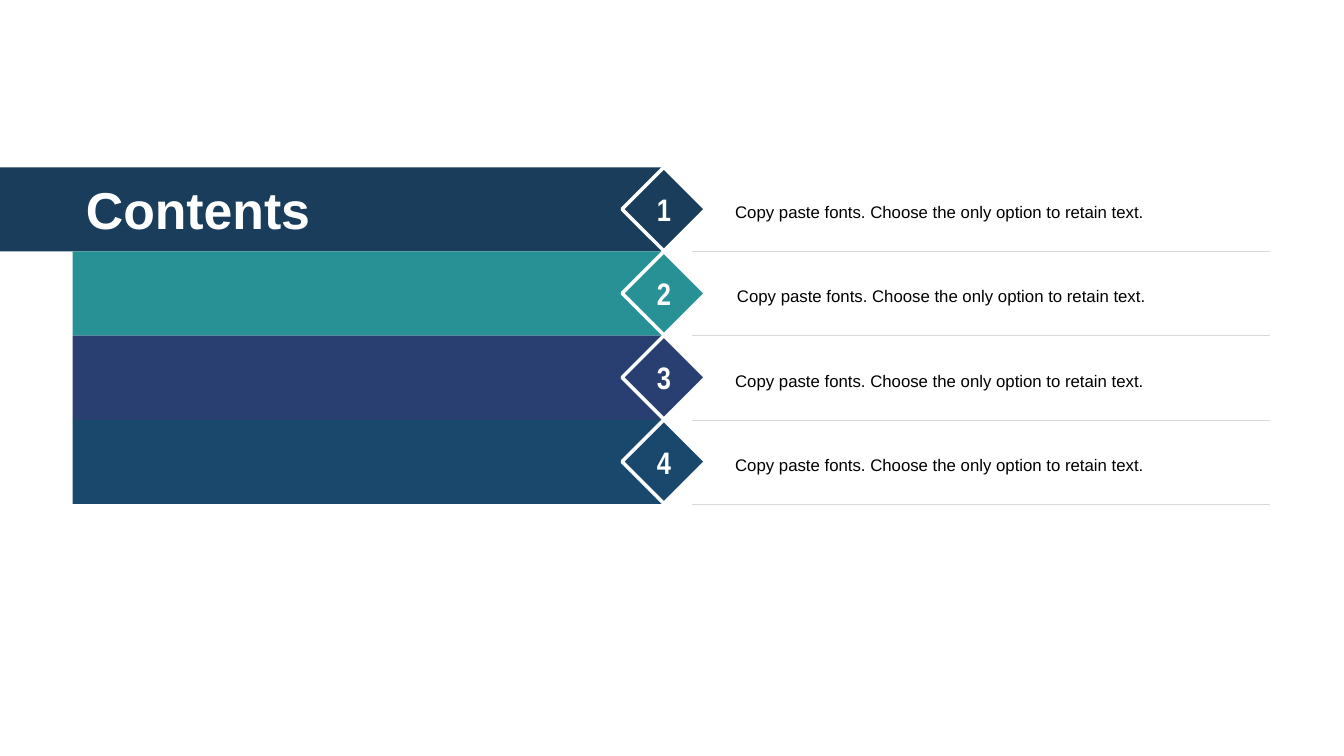
from pptx import Presentation
from pptx import util as u
from pptx.dml.color import RGBColor
from pptx.enum import shapes, text
from pptx.oxml.xmlchemy import OxmlElement

COLORS = {
    "navy": "193D5A", "teal": "289195", "indigo": "2A3F71", "blue": "1A476C",
    "white": "FFFFFF", "black": "000000", "rule": "D9D9D9",
}
LEFT, CENTER, RIGHT = text.PP_ALIGN.LEFT, text.PP_ALIGN.CENTER, text.PP_ALIGN.RIGHT


class ContentsSlide:
    """Holds the style and the current slide."""

    def __init__(self, deck):
        self.slide = deck.slides.add_slide(deck.slide_layouts[5])

    def color(self, name):
        return RGBColor.from_string(COLORS[name])

    def add_words(self, shape, words, size, color, font="Arial", bold=False,
                  align=CENTER, spacing=1.0, insets=(0.1, 0.1)):
        frame = shape.text_frame
        frame.word_wrap = True
        frame.auto_size = text.MSO_AUTO_SIZE.NONE
        frame.vertical_anchor = text.MSO_ANCHOR.MIDDLE
        frame.margin_left, frame.margin_right = map(u.Inches, insets)
        frame.margin_top = frame.margin_bottom = u.Inches(0)
        paragraph = frame.paragraphs[0]
        paragraph.alignment = align
        paragraph.line_spacing = spacing
        run = paragraph.add_run()
        run.text = words
        run.font.name, run.font.size, run.font.bold = font, u.Pt(size), bold
        run.font.color.rgb = self.color(color)

    def block(self, kind, box, fill, outline=None):
        shape = self.slide.shapes.add_shape(kind, *map(u.Inches, box))
        shape.shadow.inherit = False
        shape.fill.solid()
        shape.fill.fore_color.rgb = self.color(fill)
        if outline:
            shape.line.color.rgb = self.color(outline)
            shape.line.width = u.Pt(2.5)
        else:
            shape.line.fill.background()
        return shape

    def rule(self, left, right, y):
        line = self.slide.shapes.add_connector(
            shapes.MSO_CONNECTOR.STRAIGHT, *map(u.Inches, (left, y, right, y)))
        line.line.color.rgb = self.color("rule")
        line.line.width = u.Pt(0.25)
        line.element.spPr.append(OxmlElement("a:effectLst"))

    def title(self, words, box):
        heading = self.slide.shapes.title
        heading.left, heading.top, heading.width, heading.height = map(u.Inches, box)
        self.add_words(heading, words, 37, "white", bold=True)
        # Bring the heading in front of its band
        heading.element.getparent().append(heading.element)


def main():
    deck = Presentation()
    deck.slide_width, deck.slide_height = u.Inches(13.33), u.Inches(7.5)
    contents = ContentsSlide(deck)

    top, pitch, band_right = 1.66, 0.835, 6.59
    pitch = round((5 - top) / 4, 3)
    entry = "Copy paste fonts. Choose the only option to retain text."
    # Band colour, band left edge, entry alignment, line spacing, side insets
    rows = [
        ("navy", 0, RIGHT, 1.3, (0.1, 0.32)),
        ("teal", 0.72, LEFT, 1.2, (0.3, 0.1)),
        ("indigo", 0.72, RIGHT, 1.3, (0.1, 0.32)),
        ("blue", 0.72, RIGHT, 1.3, (0.1, 0.32)),
    ]
    tops = [top + i * pitch for i in range(len(rows))]

    # Coloured bands
    for y, (color, left, *_) in zip(tops, rows):
        contents.block(shapes.MSO_SHAPE.RECTANGLE,
                       (left, y, band_right - left, pitch), color)

    # Numbered diamonds, the first one in front
    for number, y, row in reversed(list(zip(range(1, 5), tops, rows))):
        diamond = contents.block(shapes.MSO_SHAPE.DIAMOND,
                                 (6.17, y, 0.83, 0.83), row[0], "white")
        contents.add_words(diamond, str(number), 22.2, "white", "Arial Narrow",
                           bold=True, insets=(0, 0))

    # Entries with a rule below each
    for y, (_, _, align, spacing, insets) in zip(tops, rows):
        label = contents.block(shapes.MSO_SHAPE.RECTANGLE,
                               (7.01, y + 0.09, 4.66, 0.65), "white")
        contents.add_words(label, entry, 12, "black", align=align,
                           spacing=spacing, insets=insets)
        contents.rule(6.86, 12.6, y + pitch)

    # Heading on the first band
    contents.title("Contents", (0.71, 1.66, 2.51, 0.83))
    deck.save("out.pptx")


if __name__ == "__main__":
    main()
